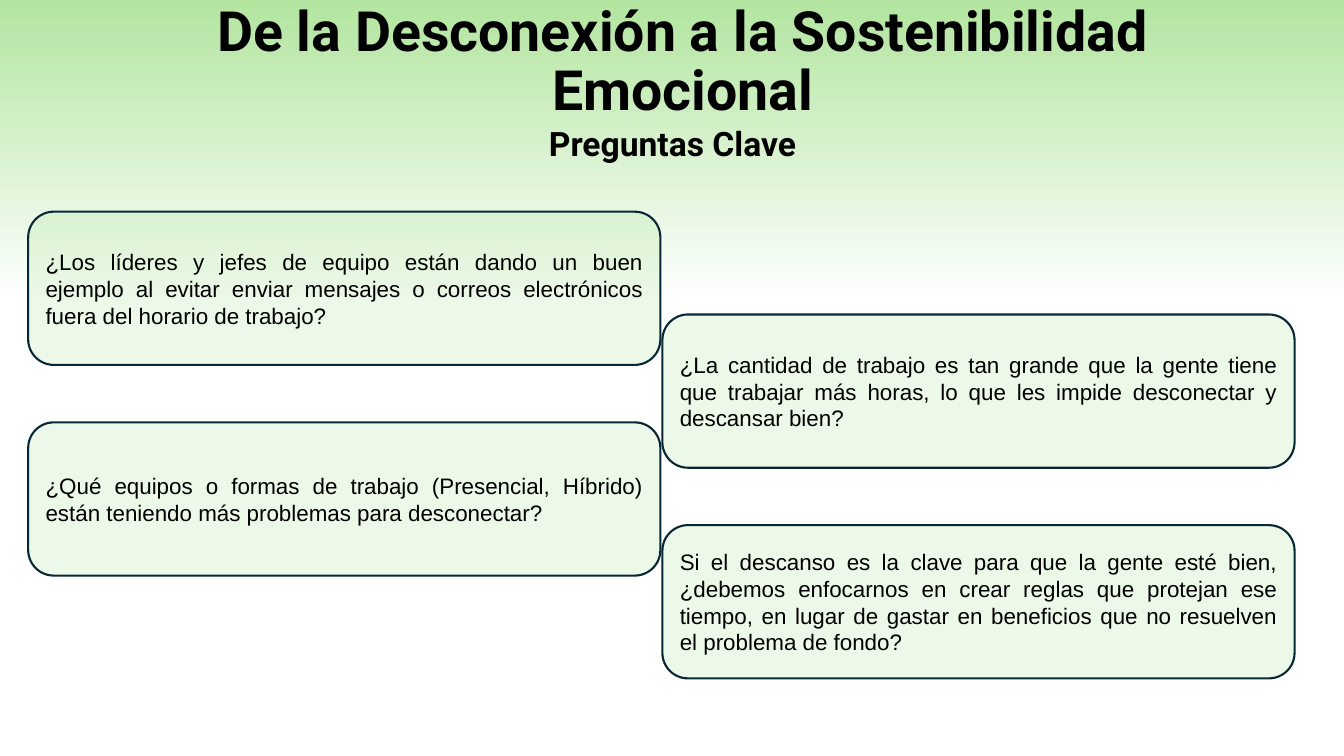
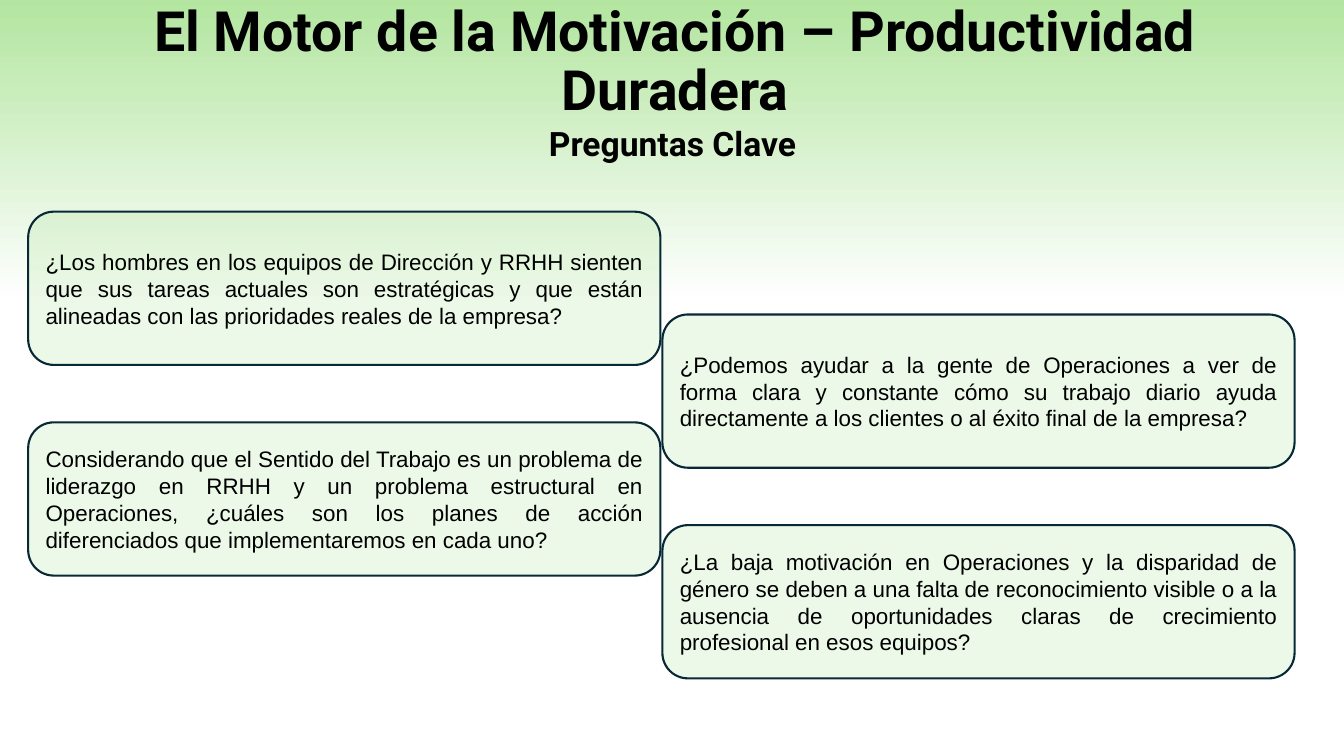
import pptx
import pptx.dml.color
import pptx.enum.shapes
import pptx.enum.text
import pptx.oxml
import pptx.oxml.ns
import pptx.util

Inches = pptx.util.Inches
Align = pptx.enum.text.PP_ALIGN

BLACK = "000000"
GRADIENT = [(0, "B3E5A0"), (0.4, "FFFFFF")]
CARD_FILL, CARD_OPACITY, CARD_LINE = "8CD872", 16, "082836"

TITLE = {"name": "Roboto", "size": pptx.util.Pt(39.6), "bold": True}
SUBTITLE = {"name": "Roboto", "size": pptx.util.Pt(24), "bold": True}
BODY = {"name": "Arial", "size": pptx.util.Pt(16)}
HEADING_PARAGRAPH = {"alignment": Align.CENTER, "line_spacing": 0.9}
BODY_PARAGRAPH = {"alignment": Align.JUSTIFY}

HEADING_HEIGHT = 1.07
CARD_WIDTH, CARD_HEIGHT = 6.27, 1.52
CARD_LEFT, CARD_TOP = 0.28, 2.1
COLUMN_STEP, ROW_STEP, COLUMN_DROP = 6.29, 2.09, 1.02


def rgb(hex_code):
    return pptx.dml.color.RGBColor.from_string(hex_code)


def apply_format(target, values):
    for attribute, value in values.items():
        setattr(target, attribute, value)


def set_opacity(properties, percent):
    """Add an alpha value to the solid fill of a shape's properties."""
    color = properties.find(pptx.oxml.ns.qn("a:solidFill"))[0]
    alpha = pptx.oxml.parse_xml(
        f'<a:alpha {pptx.oxml.ns.nsdecls("a")} val="{percent * 1000}"/>')
    color.append(alpha)


class Deck:
    def __init__(self):
        self.presentation = pptx.Presentation()
        self.presentation.slide_width = Inches(13.33)
        self.presentation.slide_height = Inches(7.5)
        self.slide = None

    def add_slide(self):
        layout = self.presentation.slide_layouts[6]
        self.slide = self.presentation.slides.add_slide(layout)
        fill = self.slide.background.fill
        fill.gradient()
        fill.gradient_angle = 270
        for stop, (position, color) in zip(fill.gradient_stops, GRADIENT):
            stop.position = position
            stop.color.rgb = rgb(color)

    def set_text(self, shape, text, font, paragraph_format):
        frame = shape.text_frame
        apply_format(frame, {
            "word_wrap": True,
            "vertical_anchor": pptx.enum.text.MSO_ANCHOR.MIDDLE})
        paragraph = frame.paragraphs[0]
        apply_format(paragraph, paragraph_format)
        run = paragraph.add_run()
        run.text = text
        apply_format(run.font, font)
        run.font.color.rgb = rgb(BLACK)

    def heading(self, text, left, top, width, font):
        box = self.slide.shapes.add_textbox(
            Inches(left), Inches(top), Inches(width), Inches(HEADING_HEIGHT))
        self.set_text(box, text, font, HEADING_PARAGRAPH)

    def card(self, text, left, top):
        card = self.slide.shapes.add_shape(
            pptx.enum.shapes.MSO_SHAPE.ROUNDED_RECTANGLE,
            Inches(left), Inches(top), Inches(CARD_WIDTH), Inches(CARD_HEIGHT))
        card.shadow.inherit = False
        card.fill.solid()
        card.fill.fore_color.rgb = rgb(CARD_FILL)
        set_opacity(card.element.spPr, CARD_OPACITY)
        card.line.color.rgb = rgb(CARD_LINE)
        card.line.width = pptx.util.Pt(1.5)
        self.set_text(card, text, BODY, BODY_PARAGRAPH)

    def question_slide(self, title, title_left, title_width, questions):
        """Build a slide whose cards alternate between two staggered columns."""
        self.add_slide()
        self.heading(title, title_left, 0.09, title_width, TITLE)
        for index, question in enumerate(questions):
            row, column = divmod(index, 2)
            self.card(question, CARD_LEFT + column * COLUMN_STEP,
                      CARD_TOP + row * ROW_STEP + column * COLUMN_DROP)
        self.heading("Preguntas Clave", 0.92, 0.91, 11.5, SUBTITLE)


def main():
    deck = Deck()
    deck.question_slide(
        "De la Desconexión a la Sostenibilidad Emocional", 0.92, 11.7, [
            "¿Los líderes y jefes de equipo están dando un buen ejemplo al "
            "evitar enviar mensajes o correos electrónicos fuera del horario "
            "de trabajo?",
            "¿La cantidad de trabajo es tan grande que la gente tiene que "
            "trabajar más horas, lo que les impide desconectar y descansar "
            "bien?",
            "¿Qué equipos o formas de trabajo (Presencial, Híbrido) están "
            "teniendo más problemas para desconectar?",
            "Si el descanso es la clave para que la gente esté bien, "
            "¿debemos enfocarnos en crear reglas que protejan ese tiempo, en "
            "lugar de gastar en beneficios que no resuelven el problema de "
            "fondo?",
        ])
    deck.question_slide(
        "El Motor de la Motivación – Productividad Duradera", 0.46, 12.47, [
            "¿Los hombres en los equipos de Dirección y RRHH sienten que sus "
            "tareas actuales son estratégicas y que están alineadas con las "
            "prioridades reales de la empresa?",
            "¿Podemos ayudar a la gente de Operaciones a ver de forma clara y "
            "constante cómo su trabajo diario ayuda directamente a los "
            "clientes o al éxito final de la empresa?",
            "Considerando que el Sentido del Trabajo es un problema de "
            "liderazgo en RRHH y un problema estructural en Operaciones, "
            "¿cuáles son los planes de acción diferenciados que "
            "implementaremos en cada uno?",
            "¿La baja motivación en Operaciones y la disparidad de género se "
            "deben a una falta de reconocimiento visible o a la ausencia de "
            "oportunidades claras de crecimiento profesional en esos equipos?",
        ])
    deck.presentation.save("out.pptx")


if __name__ == "__main__":
    main()
